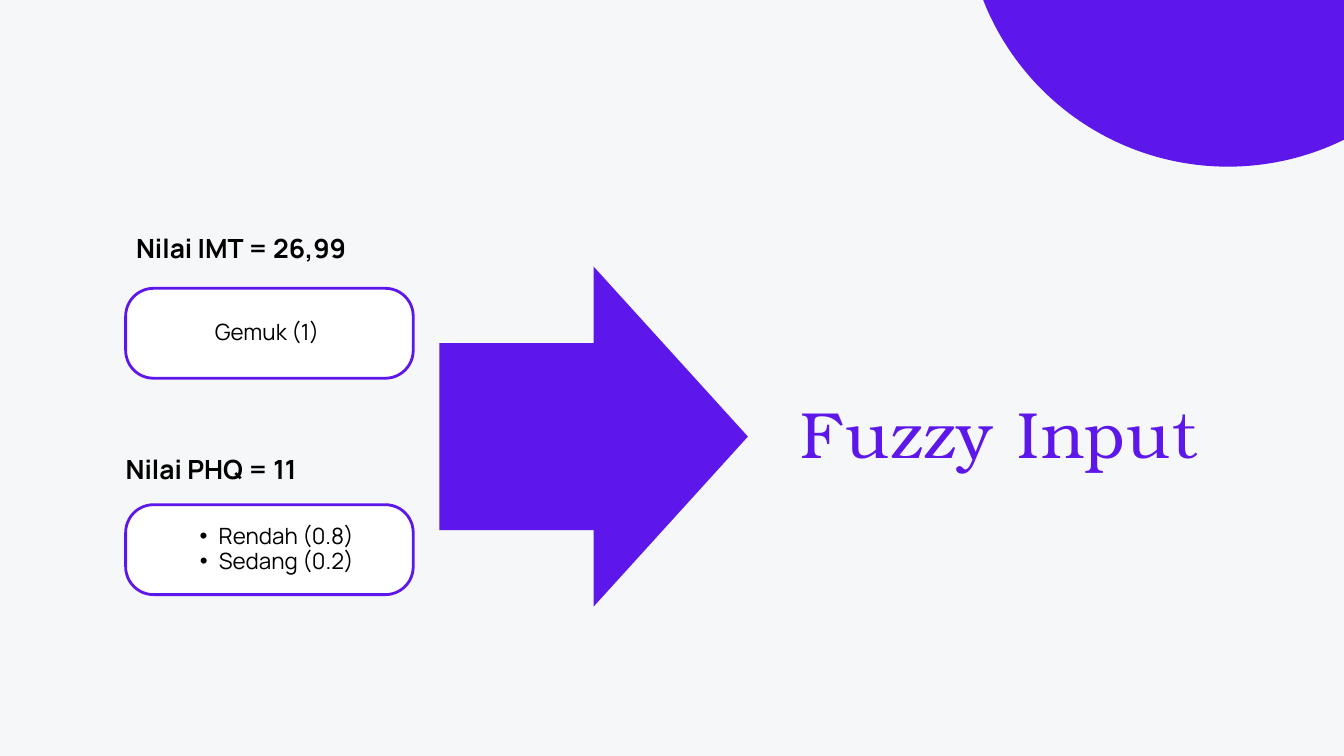
from lxml import etree
from pptx import Presentation
from pptx import util as u
from pptx.dml.color import RGBColor
from pptx.enum import shapes, text
from pptx.oxml import ns

COLOURS = {"page": "F5F7F8", "accent": "5E17EB", "card": "FFFFFF", "ink": "000000"}
BODY_FONT = "Manrope"
TITLE_FONT = "TeX Gyre Bonum"
LEFT, CENTRE = text.PP_ALIGN.LEFT, text.PP_ALIGN.CENTER


def colour(name):
    return RGBColor.from_string(COLOURS[name])


def add_figure(page, kind, box, fill, outline=None, adjustments=()):
    figure = page.shapes.add_shape(kind, *(u.Cm(length) for length in box))
    figure.shadow.inherit = False
    figure.fill.solid()
    figure.fill.fore_color.rgb = colour(fill)
    if outline:
        figure.line.color.rgb = colour(outline)
        figure.line.width = u.Pt(3)
    else:
        figure.line.fill.background()
    for index, value in enumerate(adjustments):
        figure.adjustments[index] = value
    return figure


def add_bullet(para):
    para.level = 1
    properties = para._p.get_or_add_pPr()
    properties.set("marL", str(u.Cm(1.45)))
    properties.set("indent", str(u.Cm(-0.72)))
    font = etree.SubElement(properties, ns.qn("a:buFont"))
    font.set("typeface", "Arial")
    etree.SubElement(properties, ns.qn("a:buChar")).set("char", "•")


def add_text(page, box, lines, size, spacing, align=CENTRE, font=BODY_FONT,
             ink="ink", bold=False, bullets=False, tracking=0):
    frame = page.shapes.add_textbox(*(u.Cm(length) for length in box)).text_frame
    frame.word_wrap = True
    frame.margin_left = frame.margin_right = 0
    frame.margin_top = frame.margin_bottom = 0
    for index, line in enumerate(lines):
        para = frame.add_paragraph() if index else frame.paragraphs[0]
        para.alignment = align
        para.line_spacing = u.Pt(spacing)
        if bullets:
            add_bullet(para)
        span = para.add_run()
        span.text = line
        span.font.name = font
        span.font.size = u.Pt(size)
        span.font.bold = bold
        span.font.color.rgb = colour(ink)
        if tracking:
            span._r.get_or_add_rPr().set("spc", str(round(tracking * 100)))


def add_value_card(page, box, heading, heading_box, align, values):
    left, top, width, height = box
    add_figure(page, shapes.MSO_SHAPE.ROUNDED_RECTANGLE, box, "card", "accent", [0.31])
    rise, heading_width = heading_box
    add_text(page, (left, top - rise, heading_width, 1.19), [heading],
             28.3, 31.4, align, bold=True)
    values_height = 0.94 * len(values) + 0.05
    add_text(page, (left + 1.09, top + (height - values_height) / 2, 8.51, values_height),
             values, 24, 26.6, bullets=len(values) > 1)


def add_result(page, box):
    left, top, width, height = box
    add_figure(page, shapes.MSO_SHAPE.RIGHT_ARROW, (left, top, 11.66, height),
               "accent", adjustments=[0.55, 0.5])
    add_text(page, (left + 10.64, top + 5.39, width - 10.64, 2.49), ["Fuzzy Input"],
             70, 67.2, font=TITLE_FONT, ink="accent", tracking=1.9)


def main():
    deck = Presentation()
    deck.slide_width, deck.slide_height = u.Cm(50.8), u.Cm(28.58)
    page = deck.slides.add_slide(deck.slide_layouts[6])
    page.background.fill.solid()
    page.background.fill.fore_color.rgb = colour("page")

    add_figure(page, shapes.MSO_SHAPE.OVAL, (36.47, -13.59, 19.89, 19.89), "accent")
    add_value_card(page, (4.75, 10.9, 10.87, 3.4), "Nilai IMT = 26,99",
                   (2.04, 8.74), CENTRE, ["Gemuk (1)"])
    add_value_card(page, (4.75, 19.08, 10.87, 3.4), "Nilai PHQ = 11",
                   (1.86, 13.89), LEFT, ["Rendah (0.8)", "Sedang (0.2)"])
    add_result(page, (16.61, 10.08, 31.7, 12.85))
    deck.save("out.pptx")


if __name__ == "__main__":
    main()
